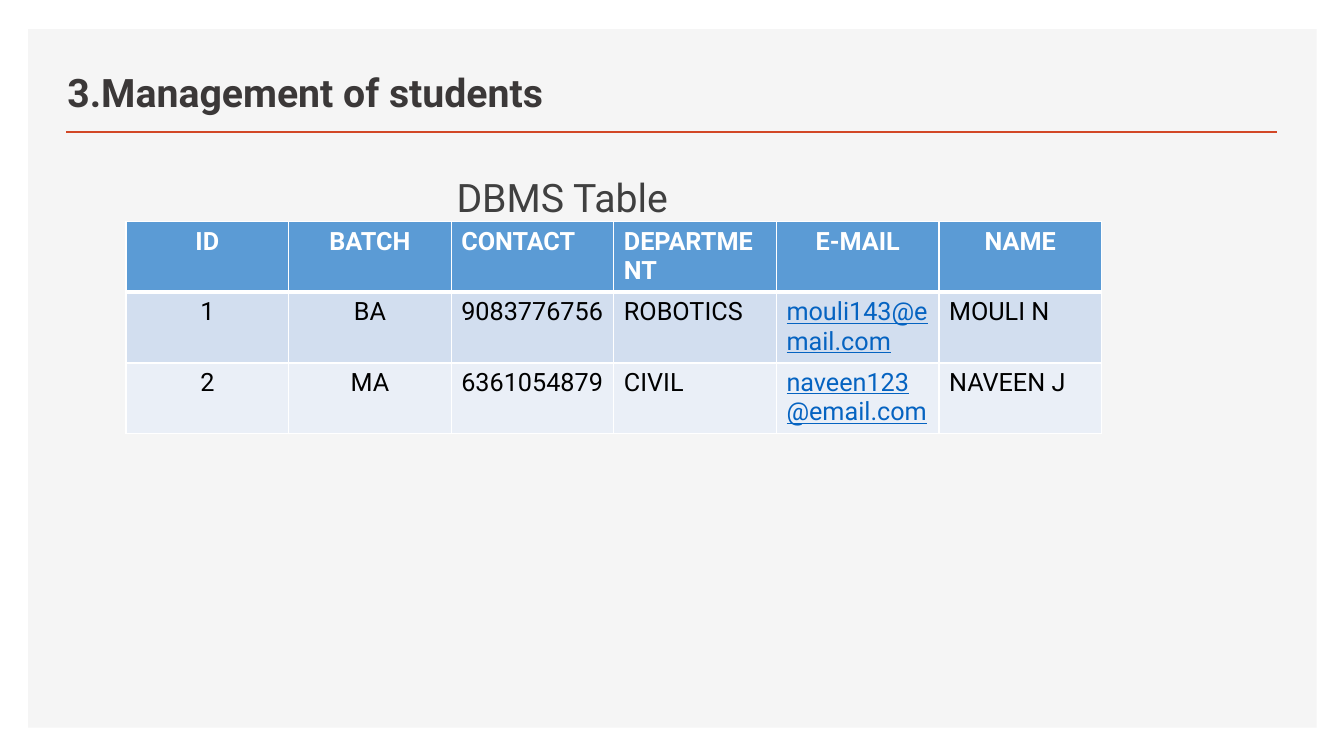
import pptx
import pptx.dml.color
import pptx.enum.shapes
import pptx.enum.text
import pptx.oxml
import pptx.oxml.ns
import pptx.util

WIDTH, HEIGHT = pptx.util.Inches(13.33), pptx.util.Inches(7.5)
FONT = "Roboto"
WHITE, BLACK, LINK = "FFFFFF", "000000", "0563C1"
HEADER_FILL, ROW_FILLS = "5B9BD5", ("D2DEEF", "EAEFF7")
EMAIL_COLUMN = 4
CENTERED_HEADERS = {"ID", "BATCH", "E-MAIL", "NAME"}
CENTERED_COLUMNS = {0, 1}
STUDENTS = [
    ["ID", "BATCH", "CONTACT", "DEPARTMENT", "E-MAIL", "NAME"],
    ["1", "BA", "9083776756", "ROBOTICS", "mouli143@email.com", "MOULI N"],
    ["2", "MA", "6361054879", "CIVIL", "naveen123@email.com", "NAVEEN J"],
]


def rgb(hex_color):
    """Turn a hex string into a colour."""
    return pptx.dml.color.RGBColor.from_string(hex_color)


def x(percent):
    """Length as a percentage of the slide width."""
    return round(WIDTH * percent / 100)


def y(percent):
    """Length as a percentage of the slide height."""
    return round(HEIGHT * percent / 100)


def box(left, top, width, height):
    """Position and size from percentages of the slide."""
    return x(left), y(top), x(width), y(height)


def add_run(p, text, size, color, bold=False, underline=False):
    """Add one formatted run to a paragraph."""
    r = p.add_run()
    r.text = text
    r.font.name = FONT
    r.font.size = pptx.util.Pt(size)
    r.font.bold = bold
    r.font.underline = underline
    r.font.color.rgb = rgb(color)


def add_panel(s, place, color):
    """Add a plain filled rectangle."""
    sp = s.shapes.add_shape(pptx.enum.shapes.MSO_SHAPE.RECTANGLE, *place)
    sp.shadow.inherit = False
    sp.fill.solid()
    sp.fill.fore_color.rgb = rgb(color)
    sp.line.fill.background()


def add_rule(s, left, right, top, color, width):
    """Add a horizontal line."""
    line = s.shapes.add_connector(
        pptx.enum.shapes.MSO_CONNECTOR.STRAIGHT, x(left), y(top), x(right), y(top))
    line.line.color.rgb = rgb(color)
    line.line.width = pptx.util.Pt(width)
    properties = line._element.spPr
    properties.append(properties.makeelement(pptx.oxml.ns.qn("a:effectLst"), {}))


def add_text(s, place, text, size, color, bold=False,
             anchor=pptx.enum.text.MSO_ANCHOR.TOP):
    """Add a wrapped text box and return its paragraph."""
    tf = s.shapes.add_textbox(*place).text_frame
    tf.word_wrap = True
    tf.vertical_anchor = anchor
    p = tf.paragraphs[0]
    add_run(p, text, size, color, bold)
    return p


def set_borders(cell, color, widths):
    """Draw the cell borders; widths maps the sides L, R, T, B to points."""
    namespace = pptx.oxml.ns.nsdecls("a")
    for index, (side, width) in enumerate(widths.items()):
        border = pptx.oxml.parse_xml(
            f'<a:ln{side} {namespace} w="{pptx.util.Pt(width)}"><a:solidFill>'
            f'<a:srgbClr val="{color}"/></a:solidFill></a:ln{side}>')
        cell._tc.get_or_add_tcPr().insert(index, border)


def fill_cell(cell, row, column, text):
    """Write and format one cell of the student table."""
    header = row == 0
    email = not header and column == EMAIL_COLUMN
    cell.fill.solid()
    cell.fill.fore_color.rgb = rgb(HEADER_FILL if header else ROW_FILLS[row - 1])
    set_borders(cell, WHITE, {"L": 1, "R": 1, "T": 3 if row == 1 else 1,
                              "B": 3 if header else 1})
    p = cell.text_frame.paragraphs[0]
    centered = text in CENTERED_HEADERS if header else column in CENTERED_COLUMNS
    align = pptx.enum.text.PP_ALIGN
    p.alignment = align.CENTER if centered else align.LEFT
    color = WHITE if header else LINK if email else BLACK
    add_run(p, text, 18, color, bold=header, underline=email)


def add_student_table(s, place):
    """Add the table with equal columns and rows."""
    table = s.shapes.add_table(len(STUDENTS), len(STUDENTS[0]), *place).table
    for row, values in enumerate(STUDENTS):
        for column, text in enumerate(values):
            fill_cell(table.cell(row, column), row, column, text)


def main():
    """Build the slide and save it."""
    prs = pptx.Presentation()
    prs.slide_width, prs.slide_height = WIDTH, HEIGHT
    s = prs.slides.add_slide(prs.slide_layouts[6])
    add_panel(s, box(2.1, 3.87, 95.87, 92.4), "F5F5F5")
    add_rule(s, 4.95, 95.05, 17.47, "D24726", 2)
    add_text(s, box(4.28, 6.53, 56.4, 9.33), "3.Management of students", 28,
             "3B3838", bold=True, anchor=pptx.enum.text.MSO_ANCHOR.BOTTOM)
    p = add_text(s, box(33.23, 19.2, 36.23, 58), "DBMS Table", 28, "404040")
    p.line_spacing = 1.5
    p.space_before = pptx.util.Pt(10)
    p.space_after = pptx.util.Pt(12)
    add_student_table(s, box(9.38, 29.33, 72.6, 27.6))
    prs.save("out.pptx")


main()
